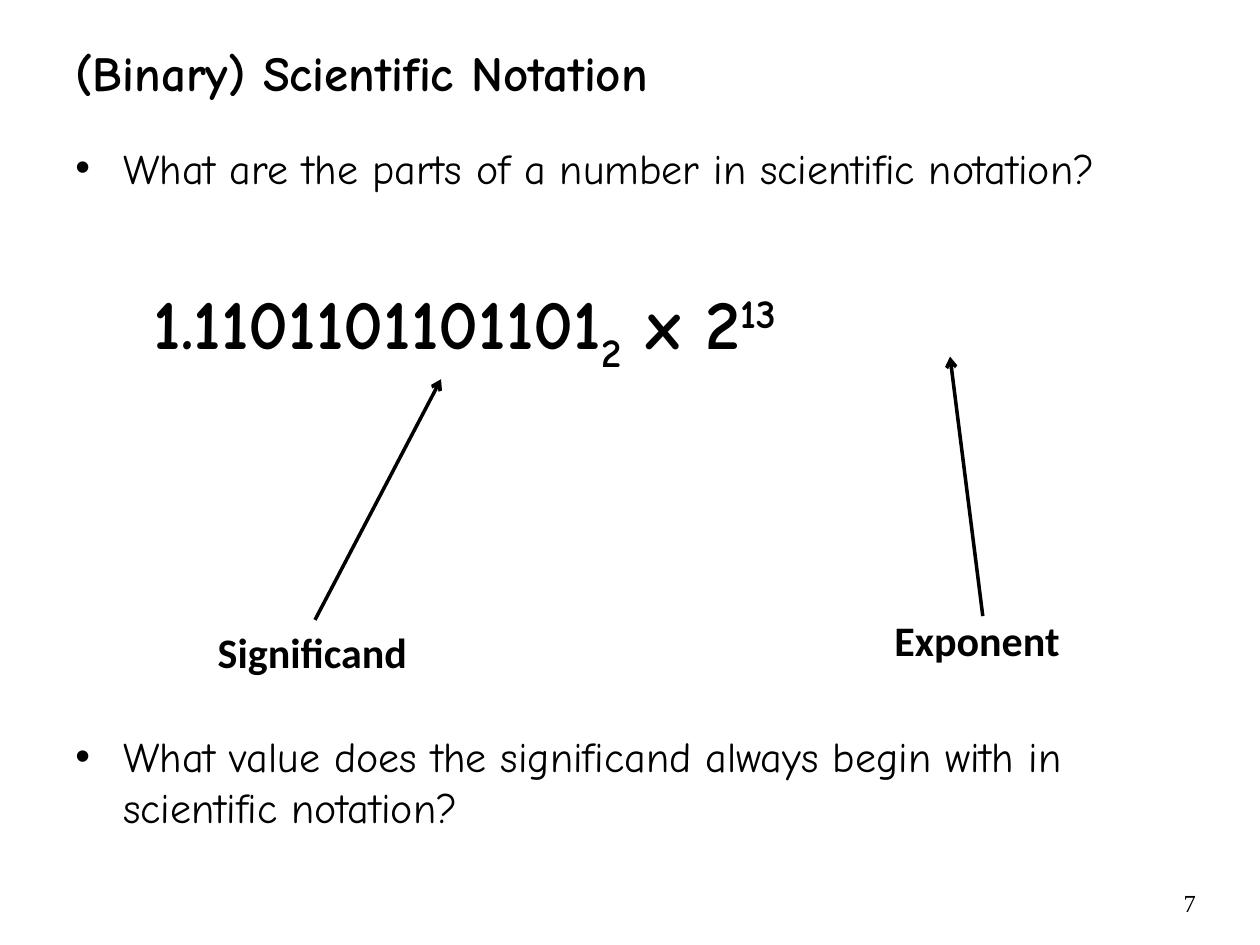
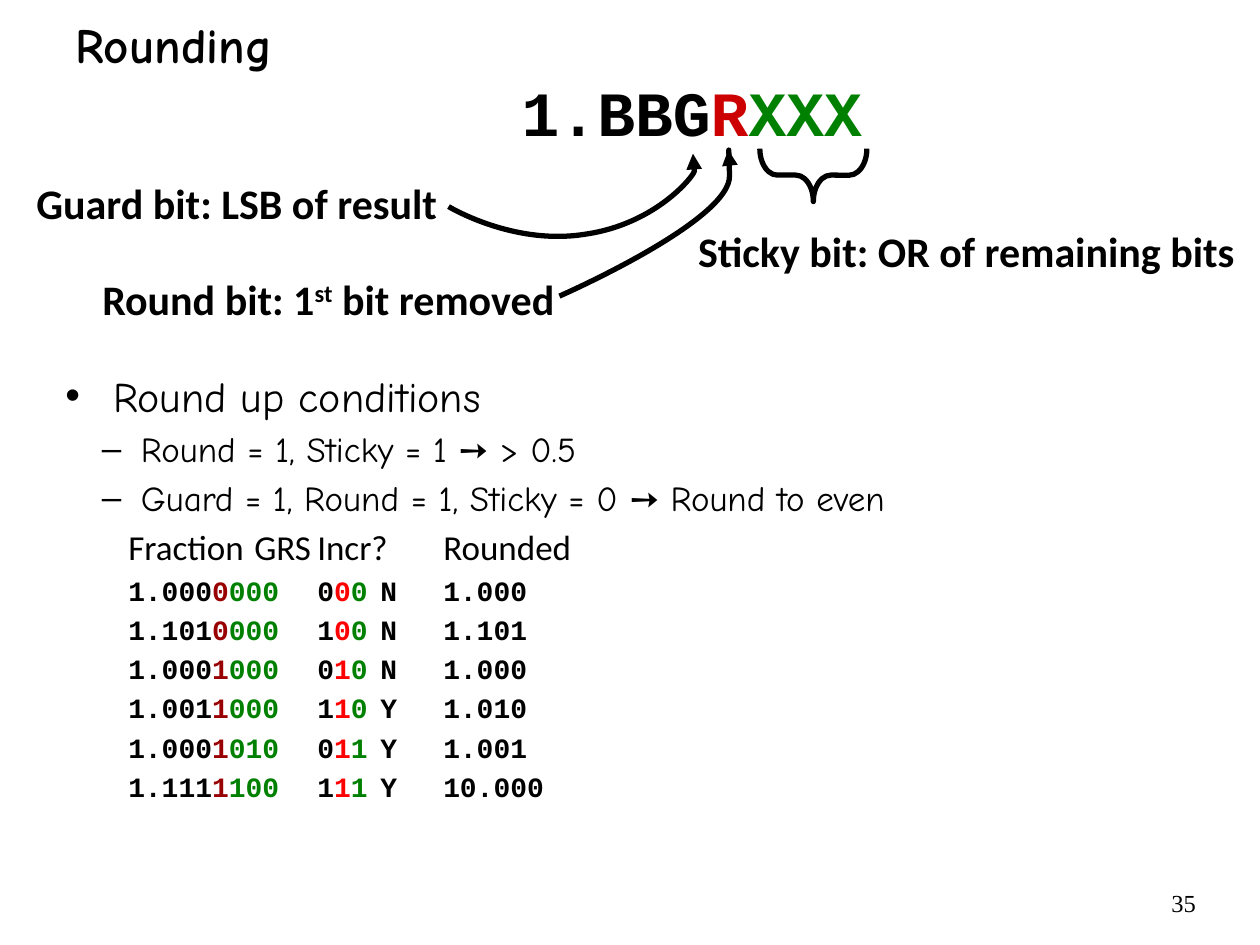
import pptx
import pptx.util
import pptx.dml.color
import pptx.enum.shapes
import pptx.enum.text
import pptx.oxml
import pptx.oxml.ns

Inches, Pt = pptx.util.Inches, pptx.util.Pt
RGB = pptx.dml.color.RGBColor
ALIGN = pptx.enum.text.PP_ALIGN
ANCHOR = pptx.enum.text.MSO_ANCHOR
qn = pptx.oxml.ns.qn

BLACK = RGB(0x00, 0x00, 0x00)
CRIMSON = RGB(0xCC, 0x00, 0x00)
RED = RGB(0xFF, 0x00, 0x00)
DARK_RED = RGB(0x98, 0x00, 0x02)
GREEN = RGB(0x00, 0x80, 0x00)

TITLE = dict(name="Comic Neue", size=Pt(28), bold=True)
BODY = dict(name="Comic Neue", size=Pt(24))
SUB_BODY = dict(name="Comic Neue", size=Pt(20))
FORMULA = dict(name="Comic Neue", size=Pt(40), bold=True)
LABEL = dict(name="Calibri", size=Pt(24), bold=True)
COLUMN_HEAD = dict(name="Calibri", size=Pt(20))
BITS = dict(name="Courier New", size=Pt(36), bold=True)
CODE = dict(name="Courier New", size=Pt(16), bold=True)
PAGE_NUMBER = dict(name="Times New Roman", size=Pt(14))

HEAD_TABS = [(0.6, "l"), (1.92, "l"), (3.56, "l"), (4.6, "l")]
ROW_TABS = [(0.42, "l"), (2.16, "l"), (2.6, "l"), (4.4, "r")]

# fraction before the round bit, round bit, remaining bits, GRS, increment, rounded
ROUNDING_ROWS = [
    ("1.000", "0", "000", "000", "N", "1.000"),
    ("1.101", "0", "000", "100", "N", "1.101"),
    ("1.000", "1", "000", "010", "N", "1.000"),
    ("1.001", "1", "000", "110", "Y", "1.010"),
    ("1.000", "1", "010", "011", "Y", "1.001"),
    ("1.111", "1", "100", "111", "Y", "10.000"),
]


def add_xml(parent, xml):
    """Append an element given as markup in the drawing namespace."""
    tag, rest = xml.split(" ", 1)
    parent.append(pptx.oxml.parse_xml(
        f"{tag} {pptx.oxml.ns.nsdecls('a')} {rest}"))


def add_box(s, left, top, width, height, wrap=True, inset=None, anchor=ANCHOR.TOP):
    tf = s.shapes.add_textbox(
        Inches(left), Inches(top), Inches(width), Inches(height)).text_frame
    tf.word_wrap = wrap
    tf.vertical_anchor = anchor
    if inset is not None:
        for side in ("left", "top", "right", "bottom"):
            setattr(tf, f"margin_{side}", Inches(inset))
    return tf


def write(p, runs, style, align=ALIGN.LEFT):
    """Fill a paragraph from strings or (text, colour, baseline percent) tuples."""
    p.alignment = align
    for run in [runs] if isinstance(runs, str) else runs:
        text, color, baseline = (run, BLACK, 0) if isinstance(run, str) else run
        r = p.add_run()
        r.text = text
        for key, value in style.items():
            setattr(r.font, key, value)
        r.font.color.rgb = color
        if baseline:
            r.font._element.set("baseline", str(baseline * 1000))


def add_item(tf, runs, style, margin=0.0, hanging=0.0, bullet=None, tabs=()):
    """Add a body paragraph with its bullet or tab stops."""
    p = tf.paragraphs[0]
    first = not p.runs
    if not first:
        p = tf.add_paragraph()
    pPr = p._p.get_or_add_pPr()
    pPr.set("marL", str(Inches(margin)))
    pPr.set("indent", str(-Inches(hanging)))
    if not first:
        add_xml(pPr, '<a:spcBef ><a:spcPct val="20000"/></a:spcBef>')
    if bullet:
        add_xml(pPr, '<a:buFont typeface="Arial"/>')
        add_xml(pPr, f'<a:buChar char="{bullet}"/>')
    else:
        add_xml(pPr, "<a:buNone />")
    if tabs:
        stops = "".join(f'<a:tab pos="{Inches(x)}" algn="{algn}"/>' for x, algn in tabs)
        add_xml(pPr, f"<a:tabLst >{stops}</a:tabLst>")
    write(p, runs, style)


def add_bullet(tf, text):
    add_item(tf, text, BODY, 0.38, 0.38, "•")


def add_sub_bullet(tf, text):
    add_item(tf, text, SUB_BODY, 0.6, 0.31, "–")


def add_text(s, box, runs, style, align=ALIGN.LEFT, **options):
    write(add_box(s, *box, **options).paragraphs[0], runs, style, align)


def set_line(shape, width, tail=None):
    shape.line.color.rgb = BLACK
    shape.line.width = Pt(width)
    if tail:
        add_xml(shape.line._get_or_add_ln(), f'<a:tailEnd type="{tail}"/>')


def add_arrow(s, x1, y1, x2, y2):
    line = s.shapes.add_connector(
        pptx.enum.shapes.MSO_CONNECTOR.STRAIGHT,
        Inches(x1), Inches(y1), Inches(x2), Inches(y2))
    set_line(line, 2, "arrow")
    add_xml(line._element.spPr, "<a:effectLst />")


def add_curved_arrow(s, points):
    """Draw Bezier curves: a start point, then three points for each curve."""
    start, *rest = [(Inches(x), Inches(y)) for x, y in points]
    builder = s.shapes.build_freeform(*start)
    builder.add_line_segments(rest, close=False)
    curve = builder.convert_to_shape()
    steps = list(curve._element.iter(qn("a:lnTo")))
    for i in range(0, len(steps), 3):
        end, *others = steps[i:i + 3]
        bezier = end.makeelement(qn("a:cubicBezTo"), {})
        end.addprevious(bezier)
        for step in (end, *others):
            bezier.append(step[0])
            step.getparent().remove(step)
    curve.fill.background()
    curve.shadow.inherit = False
    set_line(curve, 3, "triangle")


def add_down_brace(s, left, top, width, height):
    """Place a right brace turned to point down inside the given area."""
    brace = s.shapes.add_shape(
        pptx.enum.shapes.MSO_SHAPE.RIGHT_BRACE,
        Inches(left + (width - height) / 2), Inches(top + (height - width) / 2),
        Inches(height), Inches(width))
    brace.rotation = 90
    brace.adjustments[0] = 0.33
    brace.fill.background()
    brace.shadow.inherit = False
    set_line(brace, 3)


def add_slide(prs, title, title_top, number):
    s = prs.slides.add_slide(prs.slide_layouts[6])
    add_text(s, (0.5, title_top, 9.08, 0.7), title, TITLE, anchor=ANCHOR.MIDDLE)
    add_text(s, (8.17, 7, 1.42, 0.28), number, PAGE_NUMBER, ALIGN.RIGHT)
    return s


def build_notation(prs):
    s = add_slide(prs, "(Binary) Scientific Notation", 0.22, "7")
    add_bullet(add_box(s, 0.5, 1.08, 9.08, 0.7),
               "What are the parts of a number in scientific notation?")
    add_bullet(add_box(s, 0.5, 5.75, 9.08, 1.16),
               "What value does the significand always begin with in scientific notation?")
    add_text(s, (1.12, 2.17, 7.71, 0.77),
             ["1.1101101101101", ("2", BLACK, -25), " x 2", ("13", BLACK, 30)], FORMULA)
    add_arrow(s, 2.5, 4.92, 3.5, 3.01)
    add_arrow(s, 7.8, 4.89, 7.54, 2.83)
    add_text(s, (1.63, 4.92, 1.83, 0.5), "Significand", LABEL)
    add_text(s, (7, 4.83, 1.66, 0.5), "Exponent", LABEL)


def build_rounding(prs):
    s = add_slide(prs, "Rounding", 0, "35")
    tf = add_box(s, 0.42, 2.89, 9.17, 4.36)
    add_bullet(tf, "Round up conditions")
    add_sub_bullet(tf, "Round = 1, Sticky = 1 ➙ > 0.5")
    add_sub_bullet(tf, "Guard = 1, Round = 1, Sticky = 0 ➙ Round to even")
    add_item(tf, "\tFraction\tGRS\tIncr?\tRounded", COLUMN_HEAD, tabs=HEAD_TABS)
    for kept, round_bit, rest, grs, incr, rounded in ROUNDING_ROWS:
        guard, grs_round, sticky = grs
        add_item(tf, [f"\t{kept}", (round_bit, DARK_RED, 0), (rest, GREEN, 0),
                      f"\t{guard}", (grs_round, RED, 0), (sticky, GREEN, 0),
                      f"\t{incr}\t{rounded}"], CODE, tabs=ROW_TABS)

    add_text(s, (4.1, 0.54, 2.81, 0.69),
             ["1.BBG", ("R", CRIMSON, 0), ("XXX", GREEN, 0)], BITS, wrap=False, inset=0.04)
    add_text(s, (0.16, 1.37, 3.35, 0.49), "Guard bit: LSB of result", LABEL,
             ALIGN.RIGHT, inset=0.04)
    add_text(s, (0.73, 2.13, 3.71, 0.49),
             ["Round bit: 1", ("st", BLACK, 30), " bit removed"], LABEL,
             ALIGN.RIGHT, wrap=False, inset=0.04)
    add_text(s, (5.5, 1.75, 4.36, 0.49), "Sticky bit: OR of remaining bits", LABEL,
             wrap=False, inset=0.04)
    add_down_brace(s, 6.03, 1.18, 0.85, 0.42)
    add_curved_arrow(s, [(4.44, 2.35), (4.44, 2.35), (5.81, 1.75), (5.79, 1.39),
                         (5.78, 1.03), (5.78, 1.19), (5.78, 1.19)])
    add_curved_arrow(s, [(3.56, 1.64), (3.56, 1.64), (4.07, 1.95), (4.64, 1.86),
                         (5.21, 1.78), (5.51, 1.39), (5.51, 1.36),
                         (5.51, 1.34), (5.5, 1.22), (5.5, 1.22)])


def main():
    prs = pptx.Presentation()
    prs.slide_width, prs.slide_height = Inches(10), Inches(7.5)
    build_notation(prs)
    build_rounding(prs)
    prs.save("out.pptx")


if __name__ == "__main__":
    main()
